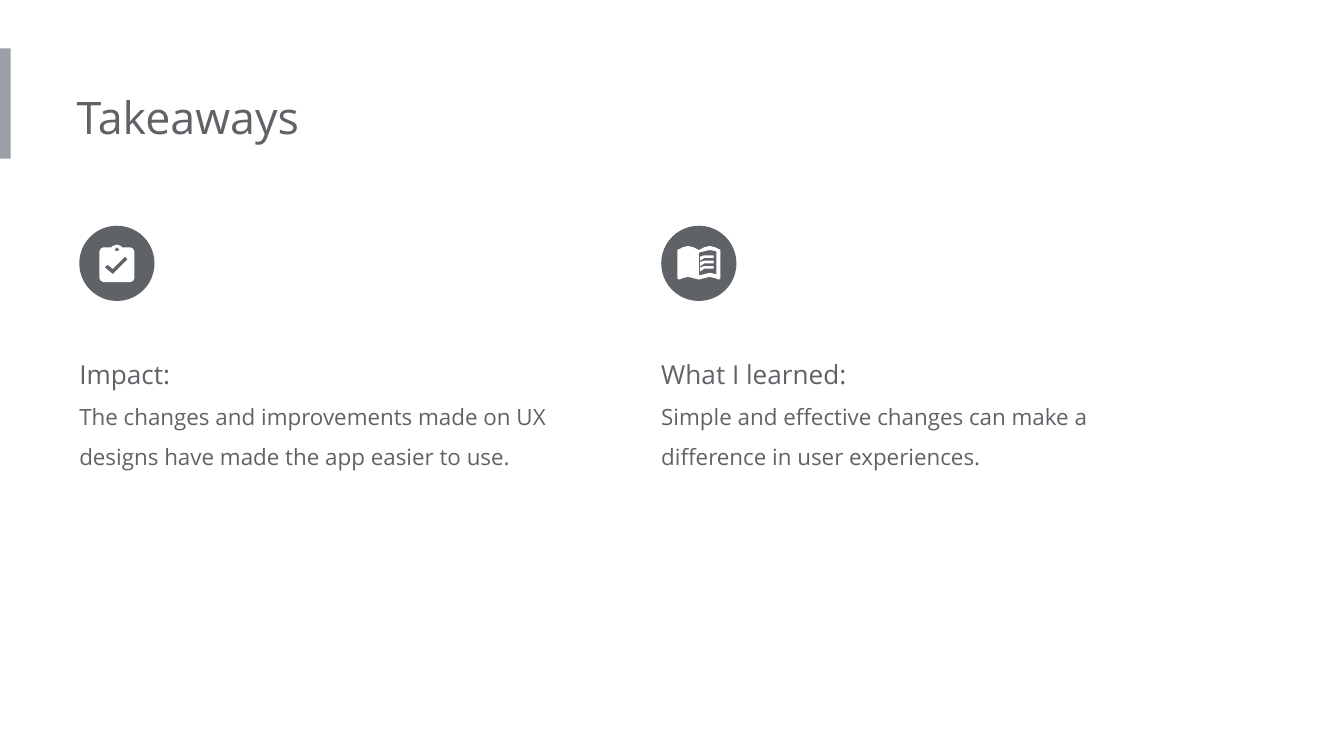
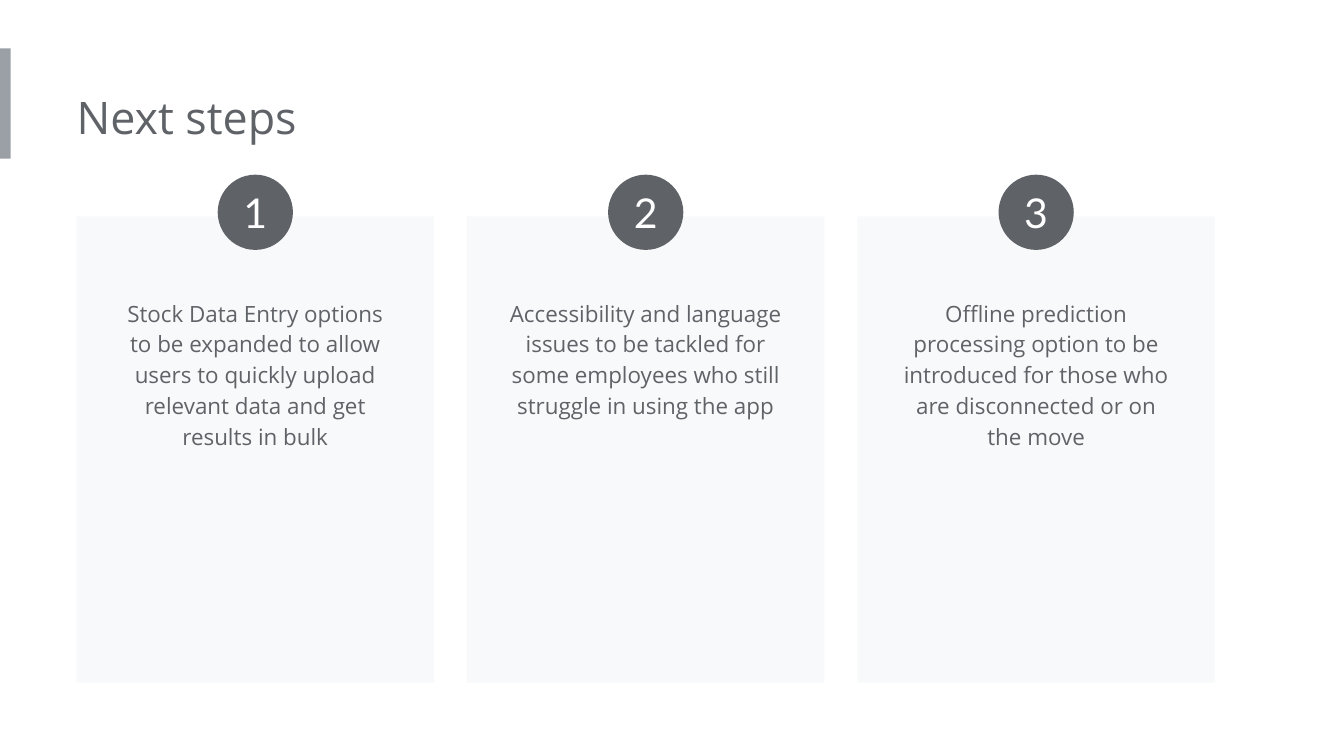
from dataclasses import dataclass

import pptx
import pptx.dml.color
import pptx.enum.shapes
import pptx.enum.text
import pptx.util

GAINS = [
    ("Impact:", "The changes and improvements made on UX designs have made the app easier to use."),
    ("What I learned:", "Simple and effective changes can make a difference in user experiences."),
]
STEPS = [
    ("Stock Data Entry options to be expanded to allow users to quickly upload "
     "relevant data and get results in bulk", 1.36),
    ("Accessibility and language issues to be tackled for some employees who "
     "still struggle in using the app", 1.13),
    ("Offline prediction processing option to be introduced for those who are "
     "disconnected or on the move", 1.36),
]

BOARD = [(38, 16), (32, 16), (31, 14.7), (28, 14), (25, 14.7), (24, 16), (18, 16),
         (15.9, 16.9), (15, 19), (15, 39), (15.9, 41.1), (18, 42), (38, 42),
         (40.1, 41.1), (41, 39), (41, 19), (40.1, 16.9)]
HOLE = [(28, 16), (29.5, 17.5), (28, 19), (26.5, 17.5)]
TICK = [(25, 36), (19, 31), (21, 29), (25, 32), (34, 23), (36, 25)]
BOOK = [(20, 15), (24, 15.5), (28, 17.5), (32, 15.5), (36, 15), (40, 15.5), (44, 17.5),
        (44, 39), (43, 40), (40, 38.8), (36, 38), (32, 38.6), (28, 40), (24, 38.6),
        (20, 38), (16, 38.8), (13, 40), (12, 39), (12, 17.5), (16, 15.5)]
PAGE = [(36, 18), (41, 19), (41, 36), (36, 35), (32, 35.5), (28, 37), (28, 20.5), (32, 18.7)]
LINE = [(29, 23.2), (32, 22.2), (35, 21.8), (39, 22), (39, 24.5), (35, 24.1), (32, 24.5), (29, 25.7)]
ICONS = [
    [[BOARD, HOLE, TICK]],
    [[BOOK, PAGE]] + [[[(x, y + 4 * row) for x, y in LINE]] for row in range(3)],
]


@dataclass(frozen=True)
class Theme:
    ink: str = "5F6368"
    bar: str = "9AA0A6"
    card: str = "F8F9FA"
    white: str = "FFFFFF"
    font: str = "Open Sans"
    digit: str = "Lato"
    title: int = 24
    number: int = 22
    head: int = 14
    body: int = 12


THEME = Theme()
WIDE = 10
HIGH = WIDE * 9 / 16
LEFT, RIGHT = 0.57, 9.04
DISC = 0.56
COL_LEFT, COL_STEP, COL_WIDE = 0.59, 4.33, 3.77
CARD_TOP, CARD_WIDE, CARD_HIGH, CARD_PAD = 1.61, 2.66, 3.47, 0.21
SHAPE = pptx.enum.shapes.MSO_SHAPE
ALIGN = pptx.enum.text.PP_ALIGN
ANCHOR = pptx.enum.text.MSO_ANCHOR
FIT = pptx.enum.text.MSO_AUTO_SIZE
inch = pptx.util.Inches


def tint(tone):
    return pptx.dml.color.RGBColor.from_string(tone)


def paint(shape, tone):
    shape.shadow.inherit = False
    shape.fill.solid()
    shape.fill.fore_color.rgb = tint(tone)
    shape.line.fill.background()
    return shape


def block(slide, kind, box, tone):
    return paint(slide.shapes.add_shape(kind, *map(inch, box)), tone)


def write(shape, lines, align=ALIGN.LEFT, space=1.0, pads=(0, 0.1, 0.1, 0.1),
          fit=FIT.SHAPE_TO_FIT_TEXT, anchor=ANCHOR.TOP, font=THEME.font, tone=THEME.ink):
    frame = shape.text_frame
    frame.word_wrap = True
    frame.auto_size = fit
    frame.vertical_anchor = anchor
    frame.margin_left, frame.margin_top, frame.margin_right, frame.margin_bottom = map(inch, pads)
    frame.text = "\n".join(text for text, size in lines)
    for para, (text, size) in zip(frame.paragraphs, lines):
        para.alignment = align
        para.line_spacing = space
        para.font.name = font
        para.font.size = pptx.util.Pt(size)
        para.font.color.rgb = tint(tone)


def disc(slide, left, top):
    return block(slide, SHAPE.OVAL, (left, top, DISC, DISC), THEME.ink)


def draw(slide, loops, left, top):
    pen = slide.shapes.build_freeform(*loops[0][0], scale=inch(0.01))
    for loop in loops:
        pen.move_to(*loop[0])
        pen.add_line_segments(loop[1:], close=True)
    paint(pen.convert_to_shape(inch(left), inch(top)), THEME.white)


def start(deck, text):
    slide = deck.slides.add_slide(deck.slide_layouts[5])
    title = slide.shapes.title
    title.left, title.top, title.width, title.height = map(inch, (LEFT, LEFT, 5.39, 0.61))
    write(title, [(text, THEME.title)])
    return slide


def add_bar(slide):
    bar = block(slide, SHAPE.RECTANGLE, (0, 0.36, 0.08, 0.82), THEME.bar)
    bar.element.nvSpPr.cNvPr.set("id", "99")
    slide.slide_layout.shapes.element.insert(2, bar.element)


def show_gains(deck):
    slide = start(deck, "Takeaways")
    add_bar(slide)
    for col, ((head, body), icon) in enumerate(zip(GAINS, ICONS)):
        left, top = COL_LEFT + col * COL_STEP, 1.68
        note = slide.shapes.add_textbox(*map(inch, (left, 2.45, COL_WIDE, 1.16)))
        write(note, [(head, THEME.head), (body, THEME.body)], space=1.5)
        disc(slide, left, top)
        for loops in icon:
            draw(slide, loops, left, top)


def show_steps(deck):
    slide = start(deck, "Next steps")
    pitch = (RIGHT - LEFT - CARD_WIDE) / (len(STEPS) - 1)
    for col, (text, high) in enumerate(STEPS):
        left = LEFT + col * pitch
        block(slide, SHAPE.RECTANGLE, (left, CARD_TOP, CARD_WIDE, CARD_HIGH), THEME.card)
        box = (left + CARD_PAD, 2.1, CARD_WIDE - 2 * CARD_PAD, high)
        note = slide.shapes.add_textbox(*map(inch, box))
        write(note, [(text, THEME.body)], ALIGN.CENTER, 1.15, (0.1,) * 4)
        badge = disc(slide, left + (CARD_WIDE - DISC) / 2, 1.3)
        write(badge, [(str(col + 1), THEME.number)], ALIGN.CENTER, pads=(0,) * 4,
              fit=FIT.NONE, anchor=ANCHOR.MIDDLE, font=THEME.digit, tone=THEME.white)


def main():
    deck = pptx.Presentation()
    deck.slide_width, deck.slide_height = inch(WIDE), inch(HIGH)
    show_gains(deck)
    show_steps(deck)
    deck.save("out.pptx")


if __name__ == "__main__":
    main()
